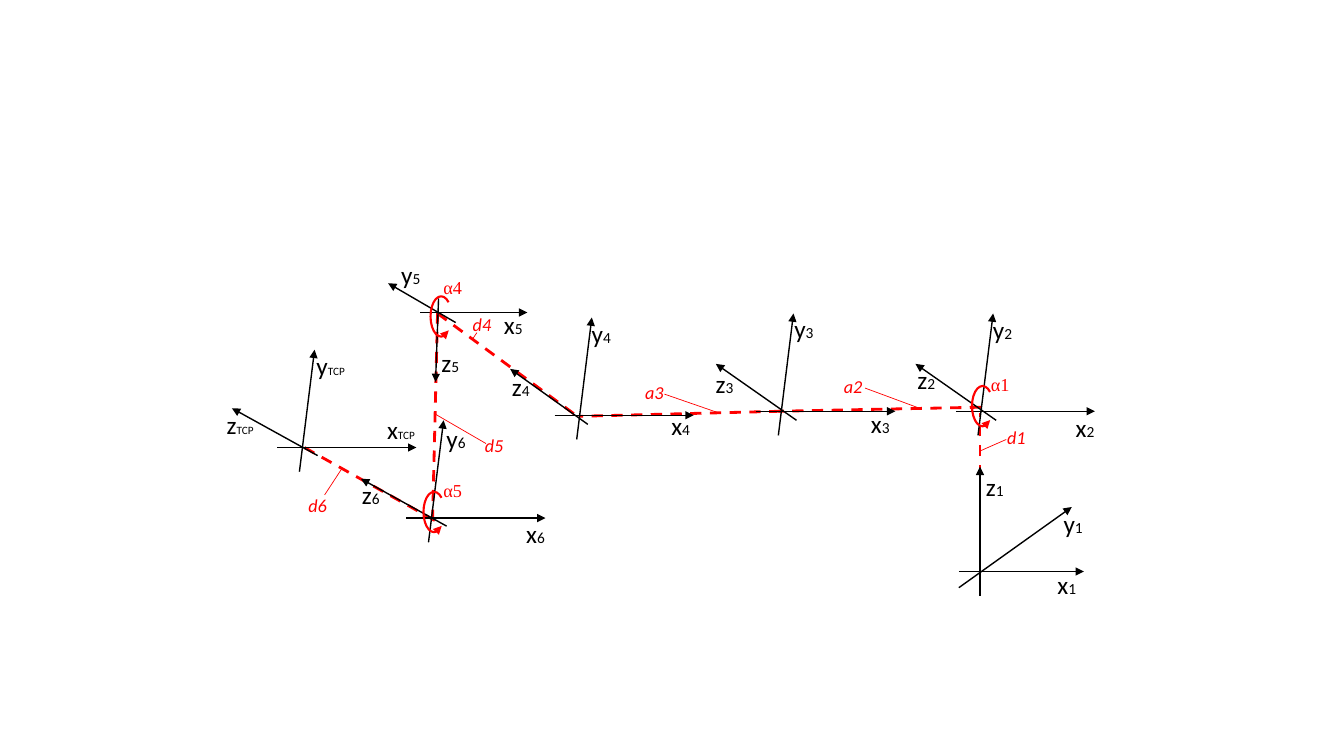
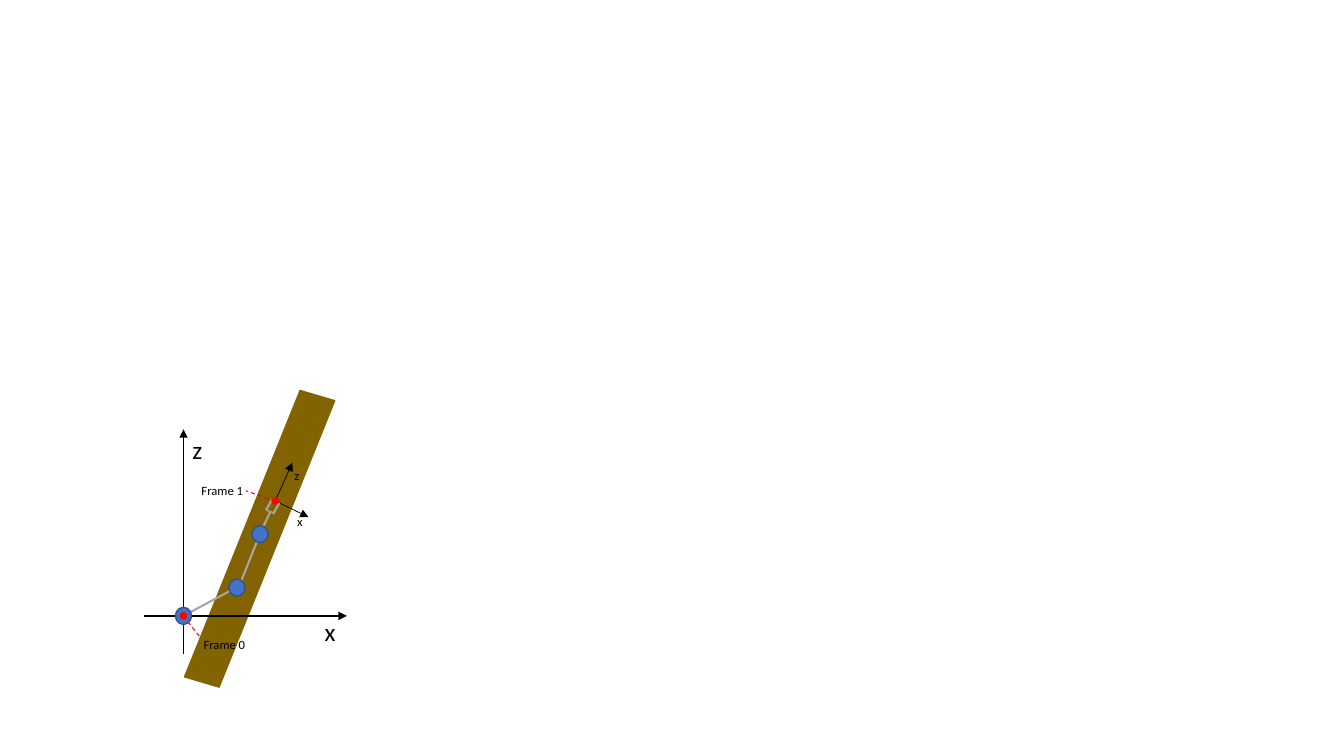
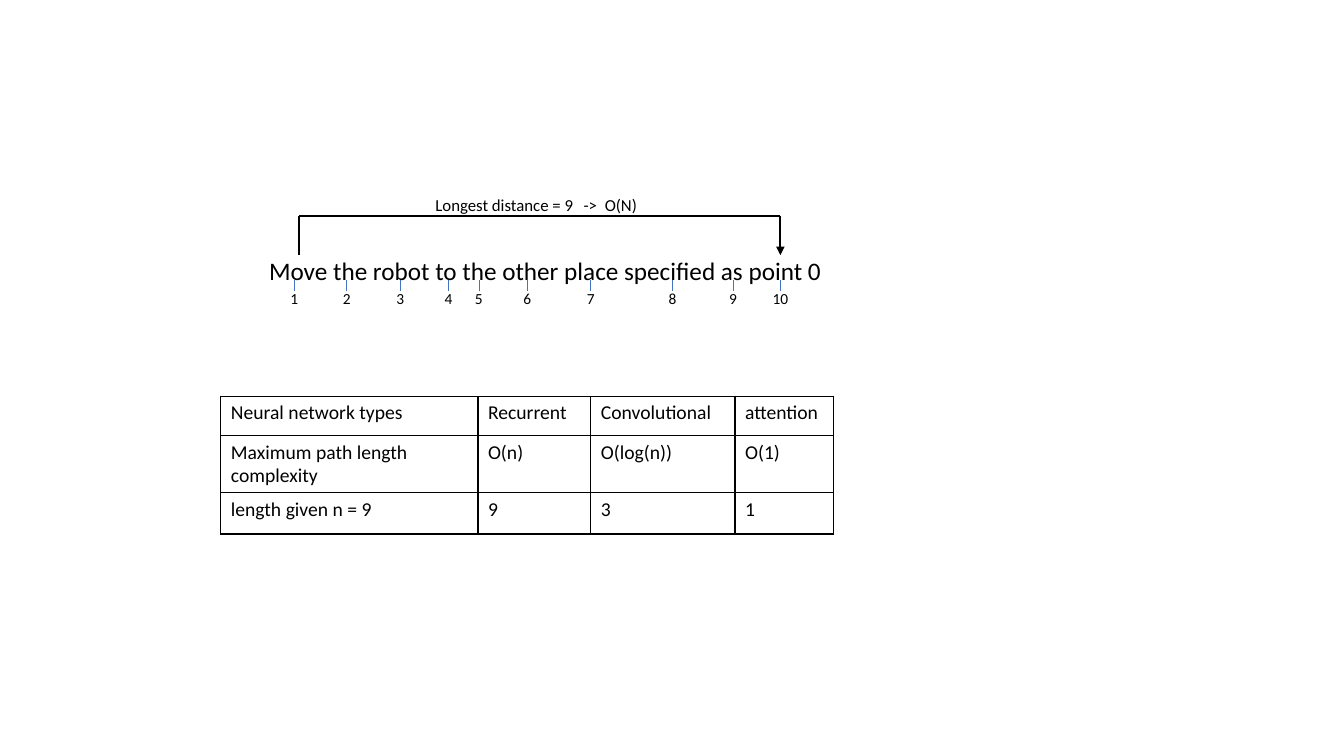
import pptx
import pptx.dml.color
import pptx.enum.dml
import pptx.enum.shapes
import pptx.enum.text
import pptx.oxml
import pptx.oxml.ns
import pptx.util
from lxml import etree

Inches = pptx.util.Inches
Pt = pptx.util.Pt
RGBColor = pptx.dml.color.RGBColor
SHAPES = pptx.enum.shapes.MSO_SHAPE
ALIGN = pptx.enum.text.PP_ALIGN
qn = pptx.oxml.ns.qn

BLACK = RGBColor(0x00, 0x00, 0x00)
RED = RGBColor(0xFF, 0x00, 0x00)
BLUE = RGBColor(0x44, 0x72, 0xC4)
DARK_BLUE = RGBColor(0x32, 0x54, 0x91)
GREY = RGBColor(0xA5, 0xA5, 0xA5)
BROWN = RGBColor(0x82, 0x63, 0x00)
SANS = "Calibri"
SERIF = "Times New Roman"

X_AXIS = ((-0.24, 0), (1.14, 0))
Y_AXIS = ((-0.02, 0.24), (0.13, -0.97))
Z_STEEP = ((0.16, 0.09), (-0.64, -0.47))
Z_FLAT = ((0.16, 0.08), (-0.69, -0.39))

FRAMES = [
    ("1", (9.72, 5.67),
     (((-0.21, 0), (1.03, 0)), ((-0.21, 0.16), (0.91, -0.64)), ((0, 0.24), (0, -1.04))),
     ((0.67, -0.07, 0.7), (0.73, -0.68, 0.6), (-0.04, -1.04, 0.38))),
    ("4", (5.74, 4.12), (X_AXIS, Y_AXIS, ((0.09, 0.09), (-0.68, -0.46))),
     ((0.82, -0.1, 0.52), (0.03, -1.01, 0.39), (-0.76, -0.49, 0.67))),
    ("5", (4.34, 3.1),
     (((-0.17, 0), (0.89, 0)), ((0.18, 0.1), (-0.49, -0.29)), ((0.01, -0.14), (-0.02, 0.69))),
     ((0.56, -0.08, 0.39), (-0.46, -0.58, 0.39), (-0.06, 0.3, 0.38))),
    ("3", (7.74, 4.08), (X_AXIS, Y_AXIS, Z_STEEP),
     ((0.8, -0.08, 0.39), (0.04, -1.02, 0.39), (-0.74, -0.48, 0.69))),
    ("2", (9.72, 4.08), (X_AXIS, Y_AXIS, Z_STEEP),
     ((0.85, -0.04, 0.39), (0.03, -1.01, 0.39), (-0.72, -0.51, 0.5))),
    ("6", (4.27, 5.14), (X_AXIS, Y_AXIS, Z_FLAT),
     ((0.85, -0.05, 0.39), (0.06, -0.99, 0.39), (-0.78, -0.43, 0.61))),
    ("TCP", (2.99, 4.44), (X_AXIS, Y_AXIS, Z_FLAT),
     ((0.75, -0.38, 0.48), (0.05, -1.01, 0.49), (-0.84, -0.43, 0.87))),
]
LINKS = [
    ((3.02, 4.44), (4.36, 5.19)),
    ((9.73, 4.04), (7.72, 4.08)),
    ((7.74, 4.08), (5.74, 4.13)),
    ((4.34, 3.11), (5.74, 4.14)),
    ((4.34, 3.1), (4.29, 5.18)),
    ((9.72, 5.7), (9.72, 4.1)),
]
TWISTS = [
    ("α1", (9.64, 3.83), (9.73, 3.65)),
    ("α4", (4.27, 2.94), (4.3, 2.69)),
    ("α5", (4.2, 4.88), (4.3, 4.71)),
]
LENGTHS = [
    ("a2", (8.27, 3.67), (9.12, 4.05), (8.58, 3.85)),
    ("a3", (6.3, 3.73), (7.11, 4.09), (6.59, 3.91)),
    ("d1", (9.89, 4.18), (9.73, 4.47), (9.98, 4.36)),
    ("d4", (4.59, 3.06), (4.73, 3.3), (4.69, 3.36)),
    ("d5", (4.71, 4.26), (4.82, 4.4), (4.32, 4.11)),
    ("d6", (2.96, 4.85), (3.22, 4.91), (3.39, 4.65)),
]
WORD_TICKS = (2.92, 3.44, 3.97, 4.45, 4.75, 5.23, 5.86, 6.67, 7.27, 7.74)
COMPLEXITY = [
    ("Neural network types", "Recurrent", "Convolutional", "attention"),
    ("Maximum path length complexity", "O(n)", "O(log(n))", "O(1)"),
    ("length given n = 9", "9", "3", "1"),
]


def shift(origin, offset):
    """Return the point that lies at an offset from an origin."""
    return origin[0] + offset[0], origin[1] + offset[1]


def add_run(paragraph, words, size, font=SANS, color=BLACK, italic=False):
    """Add one formatted run to a paragraph."""
    run = paragraph.add_run()
    run.text = words
    run.font.size = Pt(size)
    run.font.name = font
    run.font.color.rgb = color
    run.font.italic = italic


def add_text(slide, at, words, width=0.39, size=18, sub="", sub_size=11, wrap=False,
             align=ALIGN.LEFT, tabs=(), **style):
    """Place a line of text with an optional smaller index."""
    height = size * 1.2 / 72 + 0.1
    box = slide.shapes.add_textbox(Inches(at[0]), Inches(at[1]), Inches(width), Inches(height))
    frame = box.text_frame
    frame.word_wrap = wrap
    frame.auto_size = pptx.enum.text.MSO_AUTO_SIZE.SHAPE_TO_FIT_TEXT
    paragraph = frame.paragraphs[0]
    paragraph.alignment = align
    add_run(paragraph, words, size, **style)
    if sub:
        add_run(paragraph, sub, sub_size, **style)
    if tabs:
        stops = etree.SubElement(paragraph._p.get_or_add_pPr(), qn("a:tabLst"))
        for stop in tabs:
            etree.SubElement(stops, qn("a:tab"), pos=str(Inches(stop)), algn="l")


def add_line(slide, start, end, color=BLACK, width=1, dashed=False, arrow=False):
    """Draw a straight line, dashed or with an arrowhead at its end."""
    line = slide.shapes.add_connector(
        pptx.enum.shapes.MSO_CONNECTOR.STRAIGHT,
        *(Inches(value) for value in (*start, *end)))
    line.line.color.rgb = color
    line.line.width = Pt(width)
    if dashed:
        line.line.dash_style = pptx.enum.dml.MSO_LINE.DASH
    properties = line.element.spPr
    if arrow:
        etree.SubElement(properties.find(qn("a:ln")), qn("a:tailEnd"), type="triangle")
    etree.SubElement(properties, qn("a:effectLst"))


def add_figure(slide, kind, at, size, fill=None, outline=BLACK, width=1):
    """Draw a preset shape without a shadow."""
    figure = slide.shapes.add_shape(kind, *(Inches(value) for value in (*at, *size)))
    figure.shadow.inherit = False
    if fill is None:
        figure.fill.background()
    else:
        figure.fill.solid()
        figure.fill.fore_color.rgb = fill
    figure.line.color.rgb = outline
    figure.line.width = Pt(width)
    return figure


def add_disc(slide, center, size, fill, outline):
    """Draw an ellipse around its centre."""
    corner = shift(center, (-size[0] / 2, -size[1] / 2))
    add_figure(slide, SHAPES.OVAL, corner, size, fill, outline)


def coordinate_frame(slide, origin, index, axes, labels):
    """Draw the three labelled axes of one joint around its origin."""
    for start, end in axes:
        add_line(slide, shift(origin, start), shift(origin, end), arrow=True)
    for letter, (dx, dy, width) in zip("xyz", labels):
        add_text(slide, shift(origin, (dx, dy)), letter, width=width, sub=index,
                 sub_size=8 if index == "TCP" else 11, wrap=width >= 0.5)


def twist_mark(slide, at, label_at, label):
    """Draw a turning arrow and its angle."""
    turn = add_figure(slide, SHAPES.ARC, at, (0.21, 0.4), outline=RED, width=1.5)
    turn.adjustments[0] = 36.74
    turn.adjustments[1] = 178.67
    etree.SubElement(turn.element.spPr.find(qn("a:ln")), qn("a:headEnd"), type="triangle")
    add_text(slide, label_at, label, width=0.6, size=13, wrap=True, font=SERIF, color=RED)


def kinematic_chain(slide):
    """Draw the joint frames with their links, twists and lengths."""
    for start, end in LINKS:
        add_line(slide, start, end, RED, 2, dashed=True)
    for index, origin, axes, labels in FRAMES:
        coordinate_frame(slide, origin, index, axes, labels)
    for label, at, label_at in TWISTS:
        twist_mark(slide, at, label_at, label)
    for label, at, start, end in LENGTHS:
        add_line(slide, start, end, RED, 0.5)
        add_text(slide, at, label, size=13, color=RED, italic=True)


def planar_arm(slide, base):
    """Draw an arm before a slanted beam, measured from its base joint."""
    tool = shift(base, (0.91, -1.14))
    beam = add_figure(slide, SHAPES.PARALLELOGRAM, shift(base, (0.43, -2.29)), (0.65, 3.05),
                      BROWN, BROWN)
    beam.adjustments[0] = 0.45
    beam.rotation = 16.5

    def segment(start, end, *look, **style):
        """Draw a line between two offsets from the base."""
        add_line(slide, shift(base, start), shift(base, end), *look, **style)

    for tip in ((0.17, -0.38), (0.33, 0.16)):
        add_line(slide, tool, shift(tool, tip), width=0.5, arrow=True)
    for start, end in (((0.89, -1.01), (0.95, -1.12)), ((0.77, -0.84), (0.86, -1.03)),
                       ((0.55, -0.29), (0.73, -0.74)), ((0, 0), (0.54, -0.29))):
        segment(start, end, GREY, 1.5)
    segment((0, 0.38), (0, -1.85), arrow=True)
    segment((-0.39, 0), (1.62, 0), arrow=True)
    for joint in ((0, 0), (0.53, -0.28), (0.76, -0.81)):
        add_disc(slide, shift(base, joint), (0.16, 0.17), BLUE, DARK_BLUE)
    segment((0.82, -1.05), (0.9, -1.02), GREY, 1)
    segment((0.82, -1.05), (0.88, -1.16), GREY, 1.5)
    for origin, pointer in ((base, (0.17, 0.22)), (tool, (-0.29, -0.1))):
        add_disc(slide, origin, (0.06, 0.06), RED, RED)
        add_line(slide, origin, shift(origin, pointer), RED, 0.75, dashed=True)
    for words, offset, width, size in (
            ("x", (1.3, -0.04), 0.31, 18), ("z", (-0.01, -1.85), 0.3, 18),
            ("x", (1.03, -1.06), 0.26, 9), ("z", (1, -1.52), 0.25, 9),
            ("Frame 0", (0.1, 0.16), 0.62, 9), ("Frame 1", (0.08, -1.37), 0.62, 9)):
        add_text(slide, shift(base, offset), words, width=width, size=size)


def sentence_distance(slide, left, top):
    """Number the words of a sentence and span the longest distance."""
    add_text(slide, (left, top), "Move the robot to the other place specified as point 0",
             width=5.7, wrap=True)
    first, last = left + 0.4, left + 5.17
    bracket, foot = top - 0.34, top + 0.05
    add_line(slide, (first, foot), (first, bracket), width=1.5)
    add_line(slide, (first, bracket), (last, bracket), width=1.5)
    add_line(slide, (last, bracket), (last, foot), width=1.5, arrow=True)
    for number, tick in enumerate(WORD_TICKS, 1):
        add_line(slide, (tick, top + 0.41), (tick, top + 0.3), BLUE, 0.5)
        add_text(slide, (tick - 0.25, top + 0.34), str(number), width=0.5, size=11,
                 wrap=True, align=ALIGN.CENTER)
    add_text(slide, (left + 1.65, top - 0.6), "Longest distance = 9\t->\tO(N)",
             width=3.14, size=12, wrap=True, tabs=(1.47, 1.68))


def border_cell(cell):
    """Give a cell thin black borders and no fill."""
    properties = cell._tc.get_or_add_tcPr()
    for side in ("lnL", "lnR", "lnT", "lnB"):
        edge = etree.SubElement(properties, qn("a:" + side), w=str(Pt(1)))
        fill = etree.SubElement(edge, qn("a:solidFill"))
        etree.SubElement(fill, qn("a:srgbClr"), val=str(BLACK))
    cell.fill.background()


def complexity_table(slide, left, top):
    """Compare the path lengths of the network types."""
    widths, heights = (2.55, 1.12, 1.43, 0.98), (0.39, 0.47, 0.41)
    grid = slide.shapes.add_table(len(heights), len(widths), Inches(left), Inches(top),
                                  Inches(sum(widths)), Inches(sum(heights))).table
    grid.first_row = False
    grid.horz_banding = False
    for column, width in zip(grid.columns, widths):
        column.width = Inches(width)
    for row, height, entries in zip(grid.rows, heights, COMPLEXITY):
        row.height = Inches(height)
        for cell, words in zip(row.cells, entries):
            add_run(cell.text_frame.paragraphs[0], words, 14)
            border_cell(cell)


def main():
    """Build the three slides and save them."""
    deck = pptx.Presentation()
    deck.slide_width = Inches(13.33)
    deck.slide_height = Inches(7.5)
    chain, arm, paths = (deck.slides.add_slide(deck.slide_layouts[6]) for _ in range(3))
    kinematic_chain(chain)
    planar_arm(arm, (1.82, 6.11))
    sentence_distance(paths, 2.57, 2.48)
    complexity_table(paths, 2.19, 3.93)
    deck.save("out.pptx")


if __name__ == "__main__":
    main()
